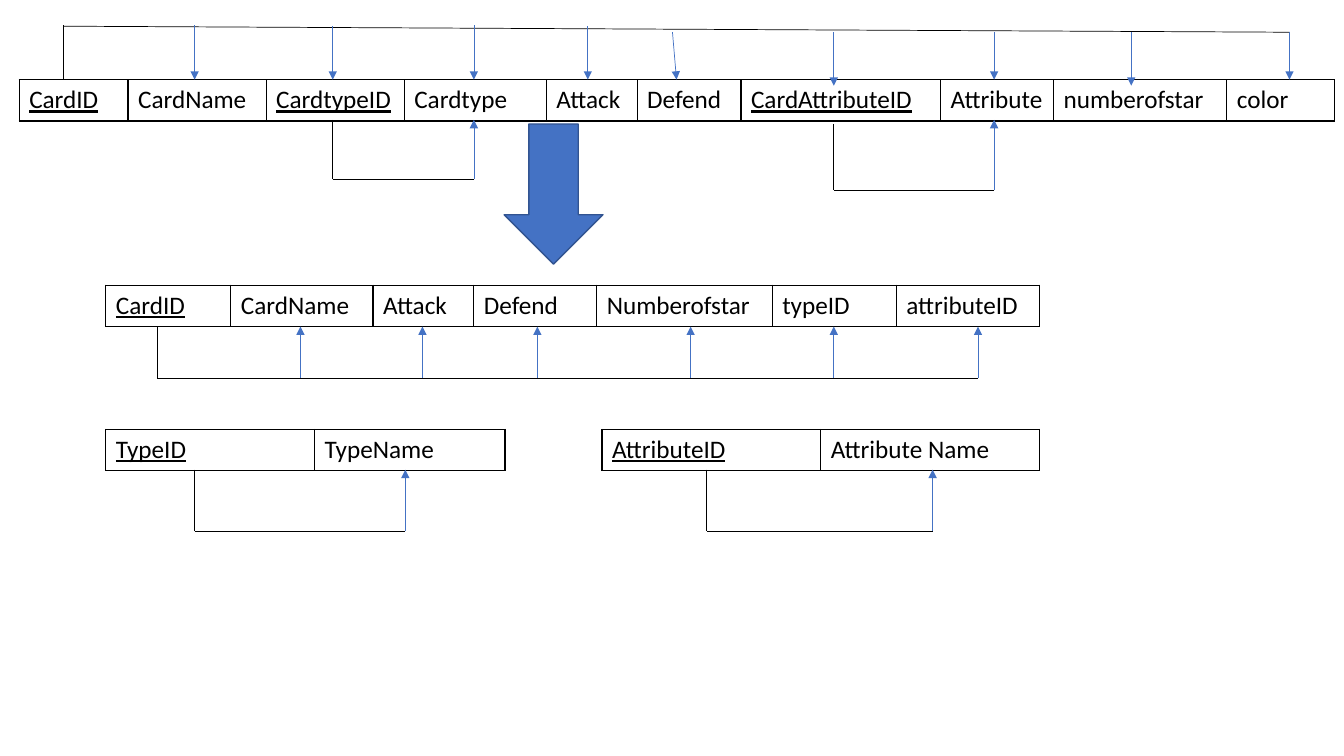
from lxml import etree
from pptx import Presentation
from pptx.dml.color import RGBColor
from pptx.enum.shapes import MSO_CONNECTOR, MSO_SHAPE
from pptx.oxml.ns import qn
from pptx.util import Inches, Pt

BLACK, BLUE, WHITE = "000000", "4472C4", "FFFFFF"

# Each relation: left, top, row height, then (column name, width, is key)
RELATIONS = [
    (0.19, 0.79, 0.41, [
        ("CardID", 1.08, True), ("CardName", 1.37, False),
        ("CardtypeID", 1.37, True), ("Cardtype", 1.41, False),
        ("Attack", 0.9, False), ("Defend", 1.03, False),
        ("CardAttributeID", 1.98, True), ("Attribute", 1.12, False),
        ("numberofstar", 1.72, False), ("color", 1.07, False)]),
    (1.05, 2.83, 0.41, [
        ("CardID", 1.24, True), ("CardName", 1.41, False),
        ("Attack", 1, False), ("Defend", 1.22, False),
        ("Numberofstar", 1.74, False), ("typeID", 1.23, False),
        ("attributeID", 1.42, False)]),
    (1.05, 4.26, 0.4, [("TypeID", 2.07, True), ("TypeName", 1.89, False)]),
    (5.97, 4.26, 0.41, [("AttributeID", 2.17, True), ("Attribute Name", 2.17, False)]),
]

# Arrows from the sloping rail down to the first relation: x1, y1, x2, y2
CARD_ARROWS = [
    (1.93, 0.25, 1.93, 0.79), (3.3, 0.26, 3.3, 0.79), (4.7, 0.25, 4.7, 0.79),
    (5.83, 0.26, 5.83, 0.79), (6.67, 0.32, 6.71, 0.79), (8.27, 0.32, 8.27, 0.85),
    (9.86, 0.32, 9.86, 0.79), (11.22, 0.32, 11.22, 0.85), (12.79, 0.32, 12.79, 0.79),
]

# Brackets under relations: key x, key top, rail y, arrow tip y, dependent xs
DEPENDENCIES = [
    (3.3, 1.19, 1.78, 1.19, [4.7]),
    (8.27, 1.23, 1.89, 1.19, [9.86]),
    (1.56, 3.24, 3.75, 3.24, [2.98, 4.19, 5.33, 6.85, 8.27, 9.7]),
    (1.93, 4.66, 5.27, 4.66, [4.02]),
    (7.01, 4.66, 5.27, 4.66, [9.25]),
]


def color(value):
    """Turn a hex string into a colour."""
    return RGBColor.from_string(value)


def add_borders(cell):
    """Give a cell a thin black border on all four sides."""
    properties = cell._tc.get_or_add_tcPr()
    for side in ("a:lnL", "a:lnR", "a:lnT", "a:lnB"):
        border = etree.SubElement(properties, qn(side), w=str(Pt(1)))
        fill = etree.SubElement(border, qn("a:solidFill"))
        etree.SubElement(fill, qn("a:srgbClr"), val=BLACK)


def add_relation(page, left, top, height, columns):
    """Add a one-row table of column names with the keys underlined."""
    total = sum(width for _, width, _ in columns)
    frame = page.shapes.add_table(1, len(columns), Inches(left), Inches(top),
                                  Inches(total), Inches(height))
    table = frame.table
    table.first_row = table.horz_banding = False
    for index, (name, width, is_key) in enumerate(columns):
        table.columns[index].width = Inches(width)
        cell = table.cell(0, index)
        add_borders(cell)
        cell.fill.solid()
        cell.fill.fore_color.rgb = color(WHITE)
        span = cell.text_frame.paragraphs[0].add_run()
        span.text = name
        span.font.name = "Calibri"
        span.font.size = Pt(18)
        span.font.color.rgb = color(BLACK)
        span.font.underline = is_key


def add_line(page, x1, y1, x2, y2, arrow=False):
    """Add a black line, or a blue one that ends in an arrowhead."""
    line = page.shapes.add_connector(MSO_CONNECTOR.STRAIGHT, Inches(x1), Inches(y1),
                                     Inches(x2), Inches(y2))
    line.line.width = Pt(0.5)
    line.line.color.rgb = color(BLUE if arrow else BLACK)
    if arrow:
        etree.SubElement(line.line._get_or_add_ln(), qn("a:tailEnd"), type="triangle")
    etree.SubElement(line._element.spPr, qn("a:effectLst"))


def add_dependency(page, key, key_top, rail, tip, targets):
    """Draw a bracket from a key to the columns that depend on it."""
    add_line(page, key, key_top, key, rail)
    add_line(page, key, rail, targets[-1], rail)
    for target in targets:
        add_line(page, target, rail, target, tip, arrow=True)


def add_step_arrow(page, left, top, width, height):
    """Add the block arrow that leads to the split relations."""
    arrow = page.shapes.add_shape(MSO_SHAPE.DOWN_ARROW, Inches(left), Inches(top),
                                  Inches(width), Inches(height))
    arrow.shadow.inherit = False
    arrow.fill.solid()
    arrow.fill.fore_color.rgb = color(BLUE)
    arrow.line.color.rgb = color("325491")
    arrow.line.width = Pt(1)


def main():
    """Build the card schema slide and save it."""
    deck = Presentation()
    deck.slide_width, deck.slide_height = Inches(13.33), Inches(7.5)
    page = deck.slides.add_slide(deck.slide_layouts[6])
    for relation in RELATIONS:
        add_relation(page, *relation)
    add_step_arrow(page, 5, 1.23, 0.98, 1.39)
    add_line(page, 0.63, 0.25, 0.63, 0.79)
    add_line(page, 0.63, 0.26, 12.79, 0.32)
    for ends in CARD_ARROWS:
        add_line(page, *ends, arrow=True)
    for dependency in DEPENDENCIES:
        add_dependency(page, *dependency)
    deck.save("out.pptx")


main()
